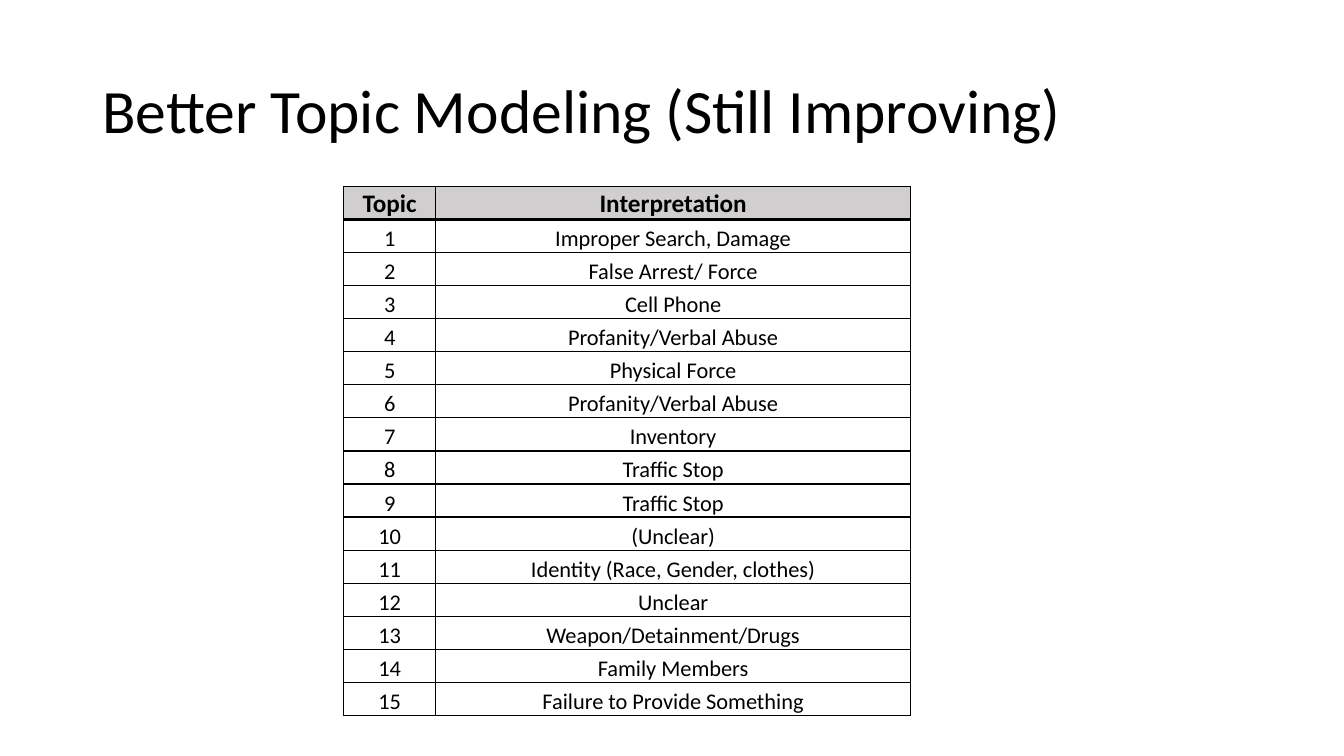
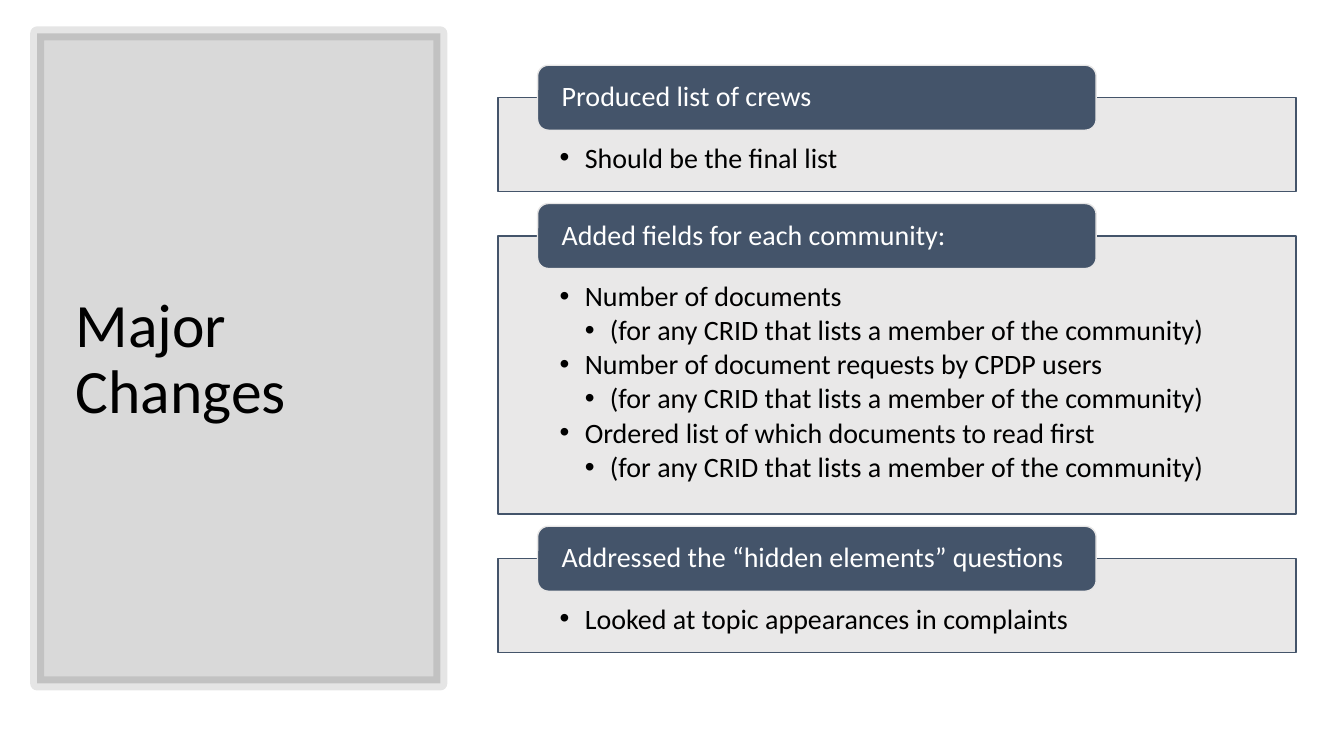
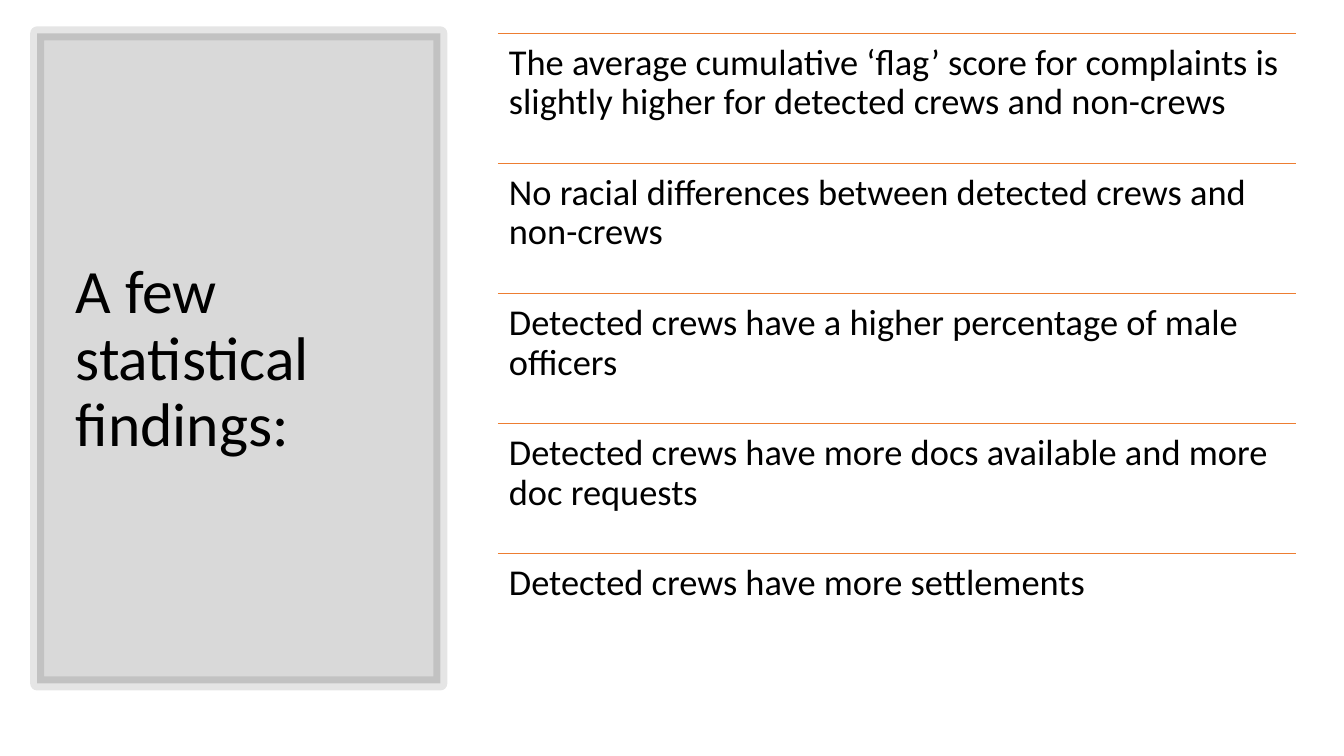
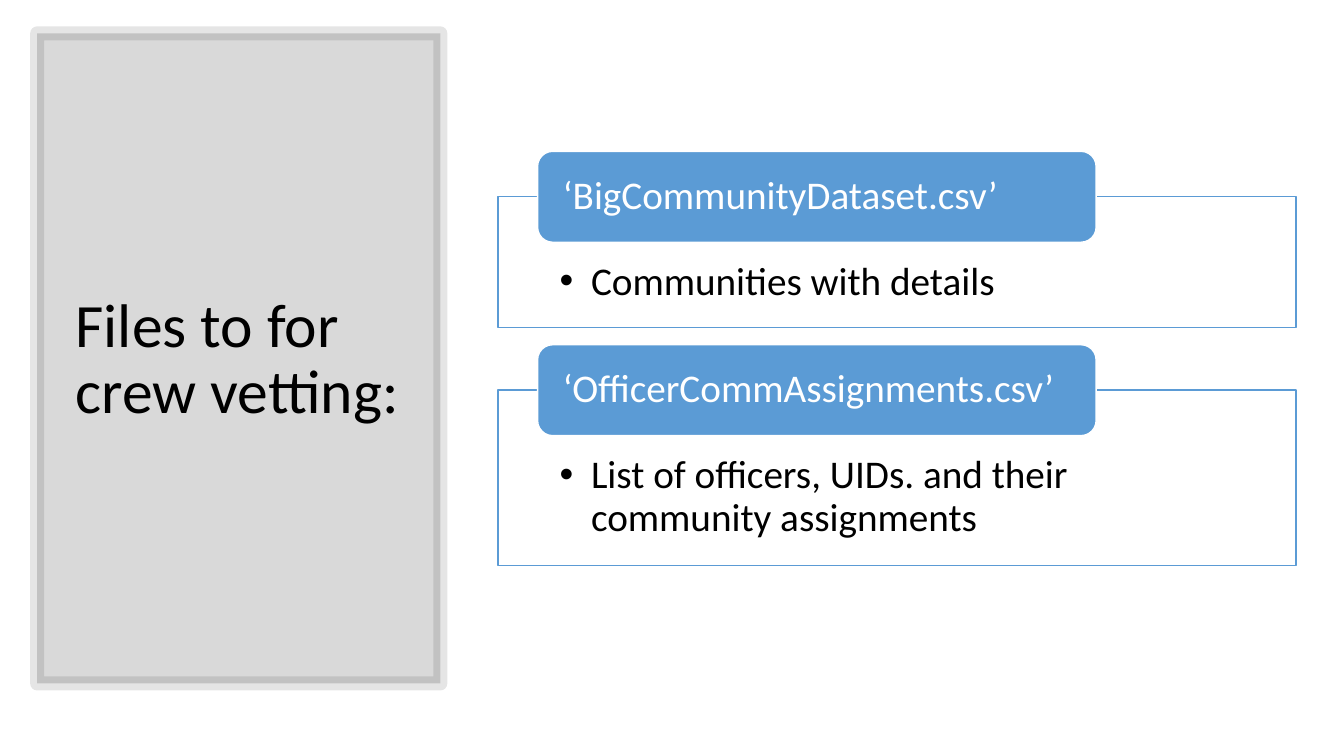
import pptx
import pptx.dml.color
import pptx.enum.shapes
import pptx.enum.text
import pptx.oxml.ns
import pptx.util
from lxml import etree

Pt = pptx.util.Pt
RGBColor = pptx.dml.color.RGBColor
MSO_SHAPE = pptx.enum.shapes.MSO_SHAPE
ANCHOR = pptx.enum.text.MSO_ANCHOR
ALIGN = pptx.enum.text.PP_ALIGN
qn = pptx.oxml.ns.qn

# Shared look
FONT = "Calibri"
BLACK = RGBColor(0x00, 0x00, 0x00)
WHITE = RGBColor(0xFF, 0xFF, 0xFF)
HEADER_GREY = RGBColor(0xD0, 0xCE, 0xCE)
LIGHT_GREY = RGBColor(0xE7, 0xE6, 0xE6)
SLATE = RGBColor(0x44, 0x54, 0x6A)
BLUE = RGBColor(0x5B, 0x9B, 0xD5)
ORANGE = RGBColor(0xED, 0x7D, 0x31)
TITLE_BOX = (66, 28.8, 828, 104.4)
PANEL = (26.6, 23.8, 288, 464.4)
PANEL_TITLE_BOX = (46.8, 50.4, 249.2, 414)
CONTENT_X, CONTENT_W = 355.7, 570.2

# Content
TOPICS = [
    "Improper Search, Damage", "False Arrest/ Force", "Cell Phone",
    "Profanity/Verbal Abuse", "Physical Force", "Profanity/Verbal Abuse",
    "Inventory", "Traffic Stop", "Traffic Stop", "(Unclear)",
    "Identity (Race, Gender, clothes)", "Unclear", "Weapon/Detainment/Drugs",
    "Family Members", "Failure to Provide Something",
]
SCOPE = (2, "(for any CRID that lists a member of the community)")
# Each card: heading, box height, bullets as (level, text)
CHANGES = [
    ("Produced list of crews", 67, [(1, "Should be the final list")]),
    ("Added fields for each community:", 198.7, [
        (1, "Number of documents"), SCOPE,
        (1, "Number of document requests by CPDP users"), SCOPE,
        (1, "Ordered list of which documents to read first"), SCOPE]),
    ("Addressed the “hidden elements” questions", 67,
     [(1, "Looked at topic appearances in complaints")]),
]
FINDINGS = [
    "The average cumulative ‘flag’ score for complaints is slightly higher "
    "for detected crews and non-crews",
    "No racial differences between detected crews and non-crews",
    "Detected crews have a higher percentage of male officers",
    "Detected crews have more docs available and more doc requests",
    "Detected crews have more settlements",
]
FILES = [
    ("‘BigCommunityDataset.csv’", 93.6, [(1, "Communities with details")]),
    ("‘OfficerCommAssignments.csv’", 125.3,
     [(1, "List of officers, UIDs. and their community assignments")]),
]


# Text helpers
def setup_frame(tf, anchor, left, top, right, bottom):
    tf.word_wrap = True
    tf.auto_size = pptx.enum.text.MSO_AUTO_SIZE.NONE
    tf.vertical_anchor = anchor
    tf.margin_left, tf.margin_top = Pt(left), Pt(top)
    tf.margin_right, tf.margin_bottom = Pt(right), Pt(bottom)


def write(p, text, size, color=BLACK, bold=False, align=ALIGN.LEFT, spacing=0.9):
    p.alignment = align
    p.line_spacing = spacing
    r = p.add_run()
    r.text = text
    r.font.name, r.font.size, r.font.bold = FONT, Pt(size), bold
    r.font.color.rgb = color


def add_bullet(p, level, indent):
    p.level = level
    pPr = p._p.get_or_add_pPr()
    pPr.set("marL", str(Pt(indent * level)))
    pPr.set("indent", str(-Pt(indent)))
    etree.SubElement(pPr, qn("a:buFont")).set("typeface", "Arial")
    etree.SubElement(pPr, qn("a:buChar")).set("char", "•")


# Shape helpers
def place(sp, box):
    sp.left, sp.top, sp.width, sp.height = (Pt(v) for v in box)


def add_box(s, kind, box, fill, line, width=1, alphas=()):
    """Add a shape; alphas gives the fill and line opacity in percent."""
    sp = s.shapes.add_shape(kind, *(Pt(v) for v in box))
    sp.shadow.inherit = False
    sp.fill.solid()
    sp.fill.fore_color.rgb = fill
    sp.line.color.rgb = line
    sp.line.width = Pt(width)
    colors = sp.element.spPr.findall(".//" + qn("a:srgbClr"))
    for color, alpha in zip(colors, alphas):
        etree.SubElement(color, qn("a:alpha")).set("val", str(alpha * 1000))
    return sp


def add_rule(s, y):
    line = s.shapes.add_connector(
        pptx.enum.shapes.MSO_CONNECTOR.STRAIGHT,
        Pt(CONTENT_X), Pt(y), Pt(CONTENT_X + CONTENT_W), Pt(y))
    line.line.color.rgb = ORANGE
    line.line.width = Pt(1)
    etree.SubElement(line.element.spPr, qn("a:effectLst"))


# Slide helpers
def add_slide(prs, title, box=TITLE_BOX):
    s = prs.slides.add_slide(prs.slide_layouts[5])
    sp = s.shapes.title
    place(sp, box)
    setup_frame(sp.text_frame, ANCHOR.MIDDLE, 7.2, 3.6, 7.2, 3.6)
    write(sp.text_frame.paragraphs[0], title, 44)
    return s


def add_panel_slide(prs, title):
    s = add_slide(prs, title, PANEL_TITLE_BOX)
    panel = add_box(s, MSO_SHAPE.RECTANGLE, PANEL, BLACK, BLACK, 10, (15, 10))
    s.shapes.title.element.addprevious(panel.element)
    return s


def add_cards(s, cards, top, size, indent, accent, pale):
    """Stack bulleted boxes, each with a heading tab across its top edge."""
    tab_h = 2.32 * size
    for heading, height, bullets in cards:
        sp = add_box(s, MSO_SHAPE.RECTANGLE, (CONTENT_X, top, CONTENT_W, height),
                     pale, accent, alphas=(90,))
        tf = sp.text_frame
        setup_frame(tf, ANCHOR.TOP, 44, 1.65 * size, 44, 0.57 * size)
        for i, (level, text) in enumerate(bullets):
            p = tf.add_paragraph() if i else tf.paragraphs[0]
            add_bullet(p, level, indent)
            p.space_after = Pt(0.14 * size)
            write(p, text, size)
        tab = add_box(s, MSO_SHAPE.ROUNDED_RECTANGLE,
                      (CONTENT_X + 28.3, top - tab_h / 2, 399, tab_h), accent, pale)
        setup_frame(tab.text_frame, ANCHOR.MIDDLE, 15, 0, 15, 0)
        write(tab.text_frame.paragraphs[0], heading, size, WHITE)
        top += height + 0.43 * size + tab_h / 2


def add_findings(s, findings):
    top, pitch = PANEL[1], PANEL[3] / len(findings)
    for i, text in enumerate(findings):
        y = top + i * pitch
        add_rule(s, y)
        tb = s.shapes.add_textbox(Pt(CONTENT_X), Pt(y), Pt(CONTENT_W), Pt(pitch))
        setup_frame(tb.text_frame, ANCHOR.TOP, 7.8, 7.8, 7.8, 7.8)
        write(tb.text_frame.paragraphs[0], text, 26)


def set_borders(cell, top, bottom):
    tcPr = cell._tc.get_or_add_tcPr()
    for side, width in (("L", 1), ("R", 1), ("T", top), ("B", bottom)):
        ln = etree.SubElement(tcPr, qn("a:ln" + side), w=str(Pt(width)))
        fill = etree.SubElement(ln, qn("a:solidFill"))
        etree.SubElement(fill, qn("a:srgbClr")).set("val", str(BLACK))


def add_topic_table(s, topics):
    rows = [("Topic", "Interpretation")]
    rows += [(str(n), topic) for n, topic in enumerate(topics, 1)]
    row_h = 23.62
    table = s.shapes.add_table(len(rows), 2, Pt(245.5), Pt(133.2), Pt(405),
                               Pt(row_h * len(rows))).table
    table.horz_banding = False
    table.columns[0].width, table.columns[1].width = Pt(65.7), Pt(339.3)
    for i, row in enumerate(rows):
        header = i == 0
        table.rows[i].height = Pt(row_h)
        for j, text in enumerate(row):
            cell = table.cell(i, j)
            set_borders(cell, 2 if i == 1 else 1, 2 if header else 1)
            if header:
                cell.fill.solid()
                cell.fill.fore_color.rgb = HEADER_GREY
            else:
                cell.fill.background()
            cell.vertical_anchor = ANCHOR.BOTTOM
            cell.margin_left = cell.margin_right = cell.margin_top = Pt(0.7)
            cell.margin_bottom = 0
            write(cell.text_frame.paragraphs[0], text, 18 if header else 16,
                  bold=header, align=ALIGN.CENTER, spacing=1.0)


def main():
    prs = pptx.Presentation()
    prs.slide_width, prs.slide_height = Pt(960), Pt(540)

    s = add_slide(prs, "Better Topic Modeling (Still Improving)")
    add_topic_table(s, TOPICS)

    s = add_panel_slide(prs, "Major Changes")
    add_cards(s, CHANGES, 69.8, 20, 18, SLATE, LIGHT_GREY)

    s = add_panel_slide(prs, "A few statistical findings:")
    add_findings(s, FINDINGS)

    s = add_panel_slide(prs, "Files to for crew vetting:")
    add_cards(s, FILES, 140.6, 28, 22.5, BLUE, WHITE)

    prs.save("out.pptx")


if __name__ == "__main__":
    main()
